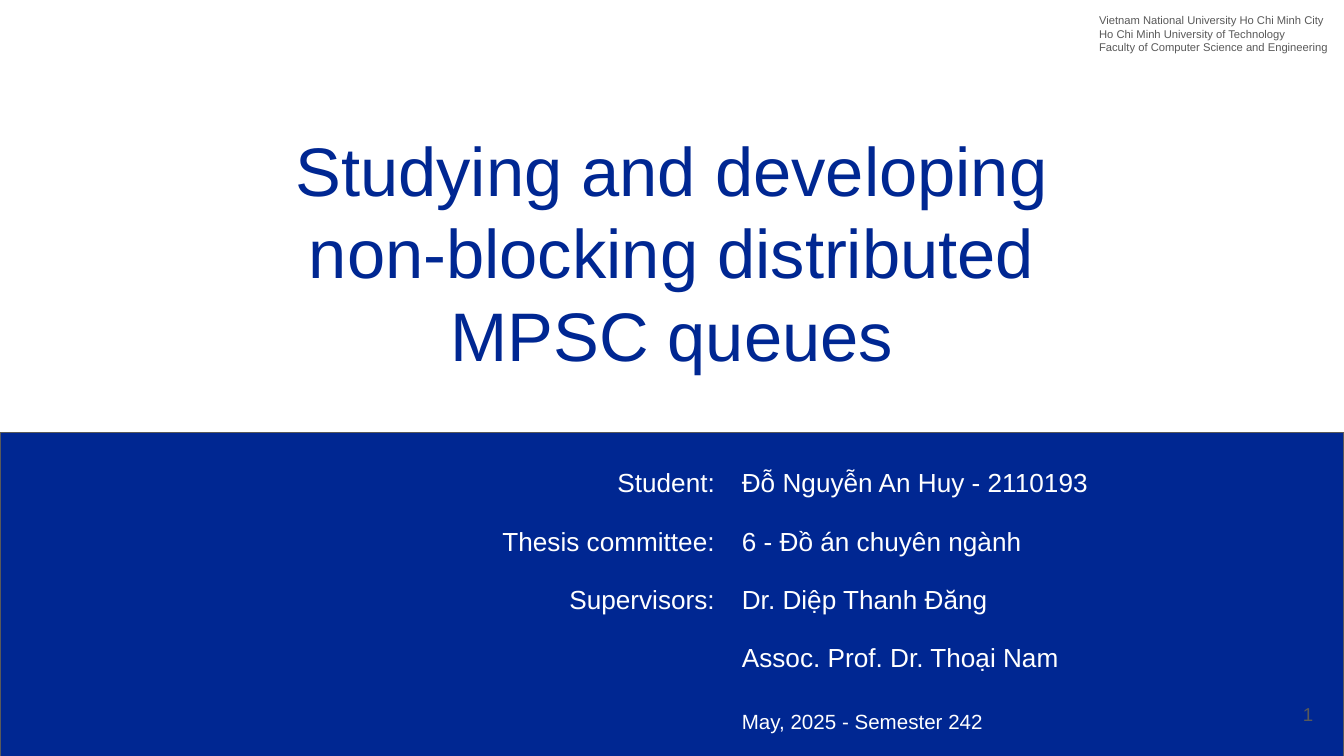
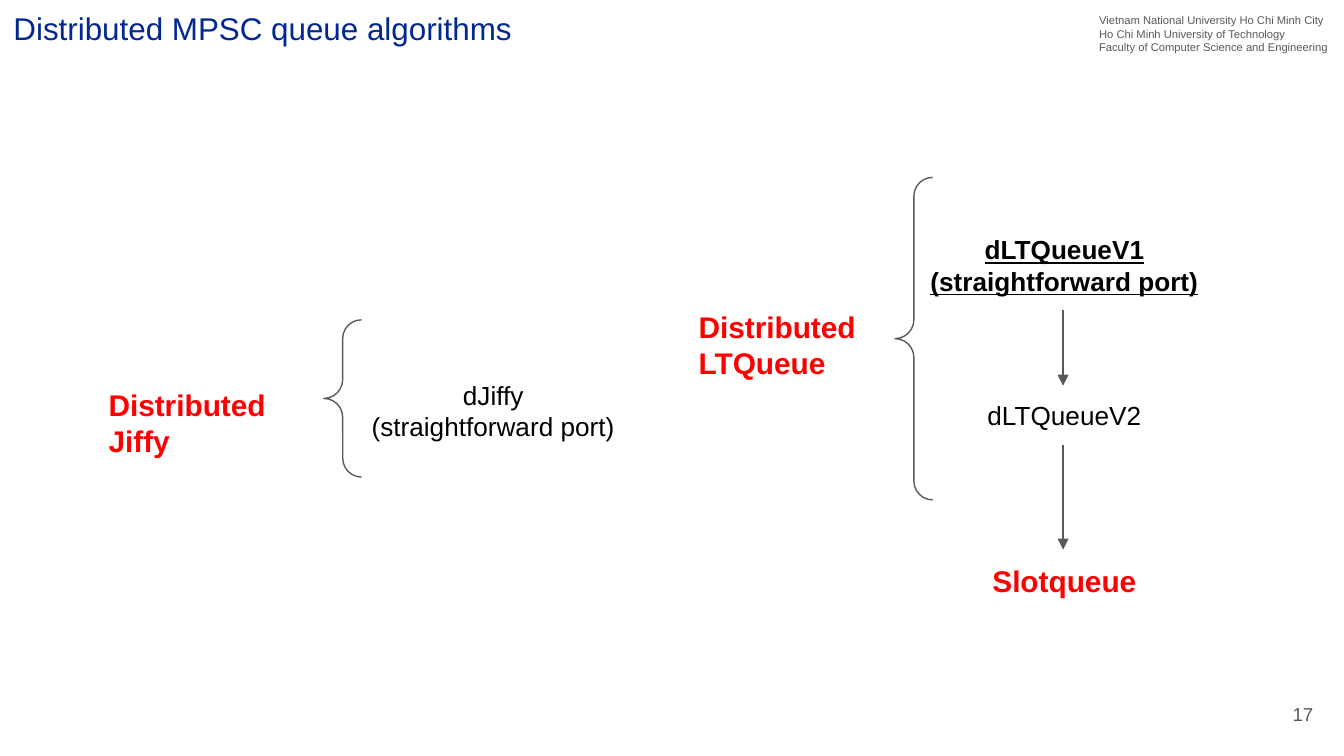
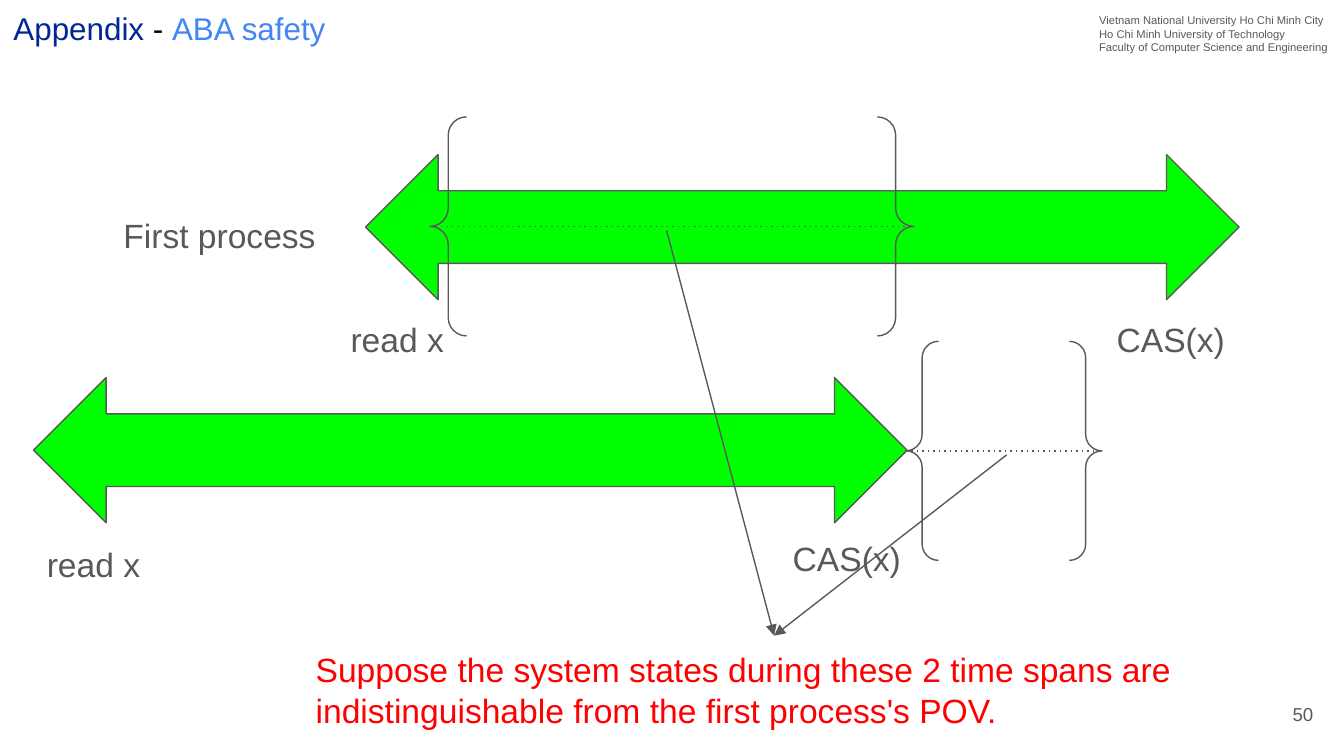
from dataclasses import dataclass
from typing import NamedTuple

from lxml import etree
from pptx import Presentation
from pptx.dml.color import RGBColor
from pptx.enum.shapes import MSO_CONNECTOR, MSO_SHAPE
from pptx.enum.text import MSO_ANCHOR, MSO_AUTO_SIZE, PP_ALIGN
from pptx.oxml.ns import qn
from pptx.util import Inches, Pt

LEFT, CENTER, RIGHT = PP_ALIGN.LEFT, PP_ALIGN.CENTER, PP_ALIGN.RIGHT
TOP, MIDDLE, BOTTOM = MSO_ANCHOR.TOP, MSO_ANCHOR.MIDDLE, MSO_ANCHOR.BOTTOM
FIT_SHAPE, NO_FIT = MSO_AUTO_SIZE.SHAPE_TO_FIT_TEXT, MSO_AUTO_SIZE.NONE
STRAIGHT = MSO_CONNECTOR.STRAIGHT
RECTANGLE = MSO_SHAPE.RECTANGLE
LEFT_BRACE = MSO_SHAPE.LEFT_BRACE
BRACE_PAIR = MSO_SHAPE.DOUBLE_BRACE
DOUBLE_ARROW = MSO_SHAPE.LEFT_RIGHT_ARROW
COVER_LAYOUT, TITLE_ONLY_LAYOUT = 0, 5
NO_GRID_STYLE = "{2D5ABB26-0587-4C30-8999-92F81FD0307C}"


@dataclass(frozen=True)
class Theme:
    font: str = "Arial"
    navy: str = "002792"
    blue: str = "4285F4"
    grey: str = "595959"
    red: str = "FF0000"
    green: str = "00FF00"
    black: str = "000000"
    white: str = "FFFFFF"
    cover_size: float = 36.8
    title_size: float = 16.8
    label_size: float = 18
    group_size: float = 16
    body_size: float = 14
    date_size: float = 11
    number_size: float = 10
    header_size: float = 6
    line_width: float = 0.75
    inset: float = 0.1


THEME = Theme()


class Style(NamedTuple):
    size: float
    color: str
    bold: bool = False
    underline: bool = False


class Box(NamedTuple):
    left: float
    top: float
    width: float
    height: float


class Label(NamedTuple):
    box: Box
    lines: tuple[str, ...]
    style: Style
    align: PP_ALIGN = LEFT
    anchor: MSO_ANCHOR = TOP


class Line(NamedTuple):
    x1: float
    y1: float
    x2: float
    y2: float
    dotted: bool = False
    arrow: bool = False


COVER = Style(THEME.cover_size, THEME.navy)
TITLE = Style(THEME.title_size, THEME.navy)
HEADER = Style(THEME.header_size, THEME.grey)
NUMBER = Style(THEME.number_size, THEME.grey)
DETAIL = Style(THEME.body_size, THEME.white)
DATE = Style(THEME.date_size, THEME.white)
GROUP = Style(THEME.group_size, THEME.red, bold=True)
VARIANT = Style(THEME.body_size, THEME.black)
CURRENT = Style(THEME.body_size, THEME.black, bold=True, underline=True)
EVENT = Style(THEME.label_size, THEME.grey)
CLAIM = Style(THEME.label_size, THEME.red)

TITLE_BOX = Box(0, 0, 7.16, 0.45)
HEADER_LINES = (
    "Vietnam National University Ho Chi Minh City",
    "Ho Chi Minh University of Technology",
    "Faculty of Computer Science and Engineering",
)


def rgb(color: str) -> RGBColor:
    return RGBColor.from_string(color)


def emu(box: Box) -> tuple:
    return tuple(Inches(v) for v in box)


def add_run(p, text: str, style: Style) -> None:
    r = p.add_run()
    r.text = text
    font = r.font
    font.name = THEME.font
    font.size = Pt(style.size)
    font.color.rgb = rgb(style.color)
    font.bold = style.bold
    font.underline = style.underline


def set_insets(target) -> None:
    for side in ("left", "top", "right", "bottom"):
        setattr(target, f"margin_{side}", Inches(THEME.inset))


def write(tf, lines, align, anchor, auto_size) -> None:
    set_insets(tf)
    tf.word_wrap = True
    tf.auto_size = auto_size
    tf.vertical_anchor = anchor
    for i, runs in enumerate(lines):
        p = tf.paragraphs[0] if i == 0 else tf.add_paragraph()
        p.alignment = align
        for text, style in runs:
            add_run(p, text, style)


def add_label(slide, label: Label, auto_size=FIT_SHAPE) -> None:
    sp = slide.shapes.add_textbox(*emu(label.box))
    lines = [[(text, label.style)] for text in label.lines]
    write(sp.text_frame, lines, label.align, label.anchor, auto_size)


def add_outlined(slide, kind, box: Box, fill: str = "", bend: float = 0):
    sp = slide.shapes.add_shape(kind, *emu(box))
    sp.shadow.inherit = False
    if fill:
        sp.fill.solid()
        sp.fill.fore_color.rgb = rgb(fill)
    else:
        sp.fill.background()
    sp.line.color.rgb = rgb(THEME.grey)
    sp.line.width = Pt(THEME.line_width)
    if bend:
        sp.adjustments[0] = bend
    return sp


def add_line(slide, line: Line) -> None:
    ends = (Inches(v) for v in line[:4])
    cxn = slide.shapes.add_connector(STRAIGHT, *ends)
    cxn.line.color.rgb = rgb(THEME.grey)
    cxn.line.width = Pt(THEME.line_width)
    sp_pr = cxn._element.spPr
    ln = sp_pr.find(qn("a:ln"))
    if line.dotted:
        etree.SubElement(ln, qn("a:prstDash"), val="dot")
    if line.arrow:
        etree.SubElement(ln, qn("a:tailEnd"), type="triangle")
    etree.SubElement(sp_pr, qn("a:effectLst"))


def add_slide(prs, layout: int, number: int, box: Box, title, align=LEFT):
    slide = prs.slides.add_slide(prs.slide_layouts[layout])
    for ph in list(slide.placeholders):
        if ph.placeholder_format.idx != 0:
            ph._element.getparent().remove(ph._element)
    sp = slide.shapes.title
    sp.left, sp.top, sp.width, sp.height = emu(box)
    write(sp.text_frame, title, align, BOTTOM, NO_FIT)
    add_label(slide, Label(Box(8.08, 0, 1.9, 0.5), HEADER_LINES, HEADER))
    number_box = Box(9.27, 5.1, 0.6, 0.43)
    add_label(slide, Label(number_box, (str(number),), NUMBER, RIGHT, MIDDLE), NO_FIT)
    return slide


def add_details(slide) -> None:
    rows = (
        ("Student:", "Đỗ Nguyễn An Huy - 2110193", DETAIL),
        ("Thesis committee:", "6 - Đồ án chuyên ngành", DETAIL),
        ("Supervisors:", "Dr. Diệp Thanh Đăng", DETAIL),
        ("", "Assoc. Prof. Dr. Thoại Nam", DETAIL),
        ("", "May, 2025 - Semester 242", DATE),
    )
    row_height = 0.42
    box = Box(1.46, 3.39, 7.92, row_height * len(rows))
    table = slide.shapes.add_table(len(rows), 2, *emu(box)).table
    table.first_row = table.horz_banding = False
    table._tbl.tblPr.find(qn("a:tableStyleId")).text = NO_GRID_STYLE
    for i, (role, value, style) in enumerate(rows):
        for j, (text, align) in enumerate(((role, RIGHT), (value, LEFT))):
            cell = table.cell(i, j)
            cell.fill.background()
            set_insets(cell)
            if text:
                p = cell.text_frame.paragraphs[0]
                p.alignment = align
                add_run(p, text, style)


def build_cover(prs) -> None:
    lines = ("Studying and developing", "non-blocking distributed", "MPSC queues")
    title = [[(text, COVER)] for text in lines]
    slide = add_slide(prs, COVER_LAYOUT, 1, Box(0.34, 1.17, 9.32, 1.72), title, CENTER)
    band = add_outlined(slide, RECTANGLE, Box(0, 3.22, 10, 2.41), THEME.navy)
    slide.shapes._spTree.insert(2, band._element)
    add_details(slide)


def build_algorithms(prs) -> None:
    title = [[("Distributed MPSC queue algorithms", TITLE)]]
    slide = add_slide(prs, TITLE_ONLY_LAYOUT, 17, TITLE_BOX, title)
    column, width, axis = 6.82, 2.2, 7.91
    labels = (
        Label(Box(5.1, 2.2, 1.57, 0.74), ("Distributed", "LTQueue"), GROUP),
        Label(Box(column, 1.64, width, 0.67),
              ("dLTQueueV1 (straightforward port)",), CURRENT, CENTER),
        Label(Box(column, 2.87, width, 0.44), ("dLTQueueV2",), VARIANT, CENTER),
        Label(Box(column, 4.09, width, 0.47), ("Slotqueue",), GROUP, CENTER),
        Label(Box(0.71, 2.78, 1.57, 0.74), ("Distributed", "Jiffy"), GROUP),
        Label(Box(2.57, 2.72, width, 0.67),
              ("dJiffy", "(straightforward port)"), VARIANT, CENTER),
    )
    for label in labels:
        add_label(slide, label)
    for start, end in ((2.31, 2.87), (3.31, 4.09)):
        add_line(slide, Line(axis, start, axis, end, arrow=True))
    for box in (Box(6.66, 1.32, 0.28, 2.4), Box(2.41, 2.38, 0.28, 1.17)):
        add_outlined(slide, LEFT_BRACE, box, bend=0.5)


def build_aba_safety(prs) -> None:
    title = [[
        ("Appendix ", TITLE),
        ("- ", TITLE._replace(color=THEME.black)),
        ("ABA safety", TITLE._replace(color=THEME.blue)),
    ]]
    slide = add_slide(prs, TITLE_ONLY_LAYOUT, 50, TITLE_BOX, title)
    for left, top in ((2.72, 1.15), (0.25, 2.81)):
        add_outlined(slide, DOUBLE_ARROW, Box(left, top, 6.5, 1.08), THEME.green)
    claim = ("Suppose the system states during these 2 time spans are "
             "indistinguishable from the first process's POV.")
    events = (
        ("read x", 2.51, 2.27, 0.92),
        ("read x", 0.25, 3.95, 0.92),
        ("CAS(x)", 5.8, 3.9, 1.01),
        ("CAS(x)", 8.21, 2.27, 1.01),
        ("First process", 0.82, 1.5, 4.64),
    )
    add_label(slide, Label(Box(2.25, 4.73, 7.02, 0.81), (claim,), CLAIM))
    for text, left, top, width in events:
        add_label(slide, Label(Box(left, top, width, 0.5), (text,), EVENT))
    spans = (
        (Box(3.2, 0.87, 3.6, 1.63), 4.96),
        (Box(6.74, 2.54, 1.46, 1.63), 7.49),
    )
    for span, pointer_x in spans:
        middle = span.top + span.height / 2
        right = span.left + span.width
        add_outlined(slide, BRACE_PAIR, span)
        add_line(slide, Line(span.left, middle, right, middle, dotted=True))
        add_line(slide, Line(pointer_x, middle + 0.03, 5.76, 4.73, arrow=True))


def main() -> None:
    prs = Presentation()
    prs.slide_width = Inches(10)
    prs.slide_height = prs.slide_width * 9 // 16
    build_cover(prs)
    build_algorithms(prs)
    build_aba_safety(prs)
    prs.save("out.pptx")


if __name__ == "__main__":
    main()
